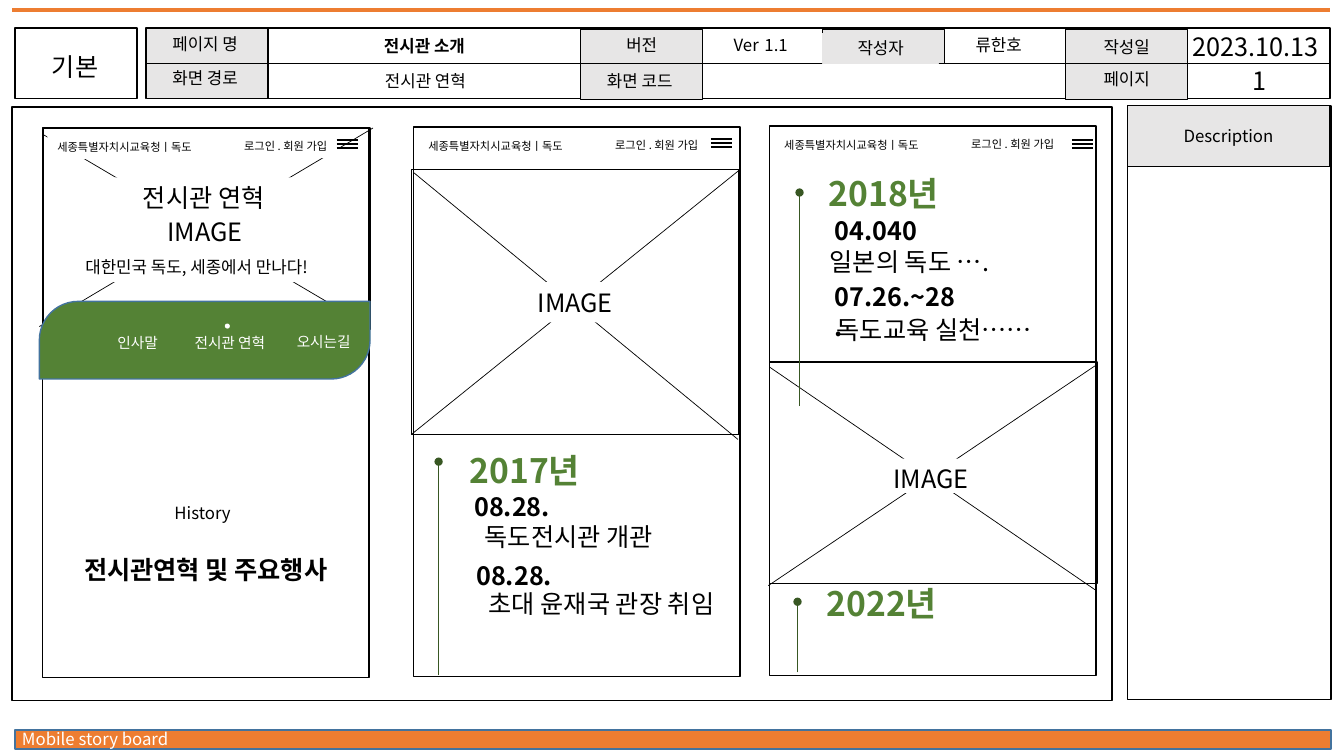
from lxml import etree
from pptx import Presentation
from pptx.dml.color import RGBColor
from pptx.enum.shapes import MSO_CONNECTOR, MSO_SHAPE
from pptx.enum.text import MSO_AUTO_SIZE, PP_ALIGN
from pptx.oxml.ns import qn
from pptx.util import Inches, Pt

RECTANGLE = MSO_SHAPE.RECTANGLE
OVAL = MSO_SHAPE.OVAL
LEAF = MSO_SHAPE.ROUND_2_DIAG_RECTANGLE
STRAIGHT = MSO_CONNECTOR.STRAIGHT
LEFT, CENTER, RIGHT = PP_ALIGN.LEFT, PP_ALIGN.CENTER, PP_ALIGN.RIGHT
FIT_SHAPE = MSO_AUTO_SIZE.SHAPE_TO_FIT_TEXT

FONT = "Noto Sans CJK KR"
COLUMNS, ROWS = 1333, 750
SLIDE_WIDTH, SLIDE_HEIGHT = Inches(13.33), Inches(7.5)
COLORS = {
    "black": "000000", "white": "FFFFFF", "gray": "E7E6E6", "orange": "ED7D31",
    "blue": "43739E", "green": "548235", "dark green": "385723",
}

HEADER_BAR = (145, 28, 1174, 70)
PANELS = [(15, 28, 121, 70), (12, 106, 1091, 589), (1118, 105, 202, 589)]
LABEL_CELLS = [
    (145, 28, 121, 70), (576, 29, 121, 70), (816, 29, 121, 34),
    (1057, 29, 121, 70), (1118, 105, 201, 60),
]
HEADER_TEXTS = [
    ("기본", (17, 46, 115, 42), {"size": 18}),
    ("페이지 명", (146, 29, 115, 30), {}),
    ("화면 경로", (146, 62, 115, 30), {}),
    ("버전", (579, 30, 115, 30), {}),
    ("화면 코드", (577, 65, 115, 30), {}),
    ("작성자", (816, 33, 115, 30), {"line": "gray"}),
    ("작성일", (1060, 32, 115, 30), {}),
    ("페이지", (1060, 63, 115, 30), {}),
    ("류한호", (890, 30, 201, 30), {}),
    ("2023.10.13", (1145, 26, 201, 40), {"size": 18}),
    ([("Ver", 12), (" ", 18), ("1.1", 12)], (654, 21, 201, 40), {}),
    ("전시관 소개", (306, 31, 230, 30), {"bold": True}),
    ("전시관 연혁", (307, 65, 230, 30), {}),
    ("1", (1180, 60, 139, 40), {"size": 18}),
    ("Description", (1132, 120, 173, 30), {}),
]

PHONE_WIDTH, PHONE_HEIGHT = 324, 545
MENU_WIDTH, MENU_GAP = 21, 4
SITE = "세종특별자치시교육청ㅣ독도"
LOGIN = "로그인 . 회원 가입 "
PHONES = [
    {"origin": (42, 127), "menu": (292, 16), "fill": "white",
     "image": (43, 127, 324, 200),
     "diagonals": [(39, 324, 370, 127), (366, 324, 42, 133)]},
    {"origin": (410, 126), "menu": (295, 16), "fill": None,
     "image": (408, 168, 325, 263),
     "diagonals": [(408, 431, 733, 169), (732, 436, 410, 171)]},
    {"origin": (763, 125), "menu": (300, 18), "fill": None,
     "image": (763, 359, 325, 220),
     "diagonals": [(762, 581, 1086, 363), (1086, 585, 763, 364)]},
]

WHITE_BOX = {"size": 18, "fill": "white"}
SCREEN_TEXTS = [
    ("IMAGE", (150, 210, 107, 40), WHITE_BOX),
    ("대한민국 독도, 세종에서 만나다!", (53, 250, 284, 30), {"fill": "white"}),
    ("IMAGE", (517, 280, 107, 40), WHITE_BOX),
    ("전시관 연혁", (111, 176, 182, 40), WHITE_BOX),
    ("History", (59, 494, 284, 30), {"fill": "white"}),
    ("전시관연혁 및 주요행사", (50, 545, 308, 40), {**WHITE_BOX, "bold": True}),
    ("IMAGE", (870, 455, 107, 34), WHITE_BOX),
]

YEAR = {"size": 24, "color": "green", "bold": True}
DATE = {"size": 18, "bold": True}
EVENT = {"size": 18}
TIMELINES = [(435, 670, 458), (793, 403, 191), (791, 667, 597)]
TIMELINE_TEXTS = [
    ("2017년", (439, 441, 163, 50), YEAR),
    ("08.28.", (435, 483, 146, 40), DATE),
    ("독도전시관 개관", (435, 512, 258, 40), EVENT),
    ("08.28.", (437, 551, 146, 40), DATE),
    ("초대 윤재국 관장 취임", (437, 579, 319, 40), EVENT),
    ("2018년", (795, 167, 163, 50), YEAR),
    ("04.040", (818, 209, 146, 40), {**DATE, "align": LEFT}),
    ("일본의 독도 ….", (813, 239, 258, 40), {**EVENT, "align": LEFT}),
    ("07.26.~28.", (818, 274, 146, 40), {**DATE, "align": LEFT}),
    ("독도교육 실천……", (820, 307, 319, 40), {**EVENT, "align": LEFT}),
    ("2022년", (793, 573, 163, 50), YEAR),
]

NAVIGATION_BANNER = (39, 299, 328, 77)
NAVIGATION_DOT = (223, 321, 5, 5)
NAVIGATION_ITEMS = [
    ("인사말", (89, 326, 95, 29)),
    ("전시관 연혁", (169, 326, 118, 29)),
    ("오시는길", (262, 325, 118, 29)),
]


def across(column):
    return round(SLIDE_WIDTH * column / COLUMNS)


def down(row):
    return round(SLIDE_HEIGHT * row / ROWS)


def place(box):
    left, top, width, height = box
    return across(left), down(top), across(width), down(height)


def rgb(name):
    return RGBColor.from_string(COLORS[name])


def paint(shape, fill=None, line=None, width=1):
    if fill:
        shape.fill.solid()
        shape.fill.fore_color.rgb = rgb(fill)
    else:
        shape.fill.background()
    if line:
        shape.line.color.rgb = rgb(line)
        shape.line.width = Pt(width)
    else:
        shape.line.fill.background()


def add_box(box, kind=RECTANGLE, fill=None, line="black"):
    shape = slide.shapes.add_shape(kind, *place(box))
    shape.shadow.inherit = False
    paint(shape, fill, line)
    return shape


def add_line(x1, y1, x2, y2, color="black", width=1, dot=False):
    connector = slide.shapes.add_connector(
        STRAIGHT, across(x1), down(y1), across(x2), down(y2))
    connector.line.color.rgb = rgb(color)
    connector.line.width = Pt(width)
    if dot:
        outline = connector.line._get_or_add_ln()
        etree.SubElement(outline, qn("a:tailEnd"), type="oval")
    etree.SubElement(connector._element.spPr, qn("a:effectLst"))
    return connector


def add_text(text, box, size=12, color="black", bold=False, align=CENTER,
             fill=None, line=None):
    shape = slide.shapes.add_textbox(*place(box))
    paint(shape, fill, line, 0.75)
    frame = shape.text_frame
    frame.word_wrap = True
    frame.auto_size = FIT_SHAPE
    paragraph = frame.paragraphs[0]
    paragraph.alignment = align
    pieces = [(text, size)] if isinstance(text, str) else text
    for words, points in pieces:
        run = paragraph.add_run()
        run.text = words
        run.font.size = Pt(points)
        run.font.bold = bold
        run.font.color.rgb = rgb(color)
        run.font.name = FONT
        etree.SubElement(run.font._element, qn("a:ea"), typeface=FONT)


def add_phone(phone):
    left, top = phone["origin"]
    add_box(phone["image"], fill="white")
    add_box((left, top, PHONE_WIDTH, PHONE_HEIGHT))
    for diagonal in phone["diagonals"]:
        add_line(*diagonal, width=0.5)
    add_text(SITE, (left + 5, top + 7, 187, 24), size=8, align=LEFT,
             fill=phone["fill"])
    add_text(LOGIN, (left + 171, top + 6, 124, 24), size=8, align=RIGHT,
             fill=phone["fill"])
    menu_left, menu_middle = left + phone["menu"][0], top + phone["menu"][1]
    for step in (-1, 0, 1):
        y = menu_middle + step * MENU_GAP
        add_line(menu_left, y, menu_left + MENU_WIDTH, y)


presentation = Presentation()
presentation.slide_width, presentation.slide_height = SLIDE_WIDTH, SLIDE_HEIGHT
slide = presentation.slides.add_slide(presentation.slide_layouts[6])

add_line(12, 10, 1319, 10, color="orange", width=3)
add_box((15, 724, 1305, 19), fill="orange", line="blue")
add_text("Mobile story board", (12, 718, 320, 30), color="white", align=LEFT)

header = add_box(HEADER_BAR)
for panel in PANELS:
    add_box(panel)
for cell in LABEL_CELLS:
    add_box(cell, fill="gray")
divider = add_line(145, 63, 1319, 63, width=0.5)
divider.begin_connect(header, 1)
divider.end_connect(header, 3)
for text, box, style in HEADER_TEXTS:
    add_text(text, box, **style)

for phone in PHONES:
    add_phone(phone)
for x, bottom, top in TIMELINES:
    add_line(x, bottom, x, top, color="dark green", dot=True)
for text, box, style in SCREEN_TEXTS + TIMELINE_TEXTS:
    add_text(text, box, **style)

banner = add_box(NAVIGATION_BANNER, LEAF, fill="green", line="blue")
banner.adjustments[0], banner.adjustments[1] = 0.5, 0
add_box(NAVIGATION_DOT, OVAL, fill="white", line=None)
for text, box in NAVIGATION_ITEMS:
    add_text(text, box, size=10.5, color="white")

presentation.save("out.pptx")
